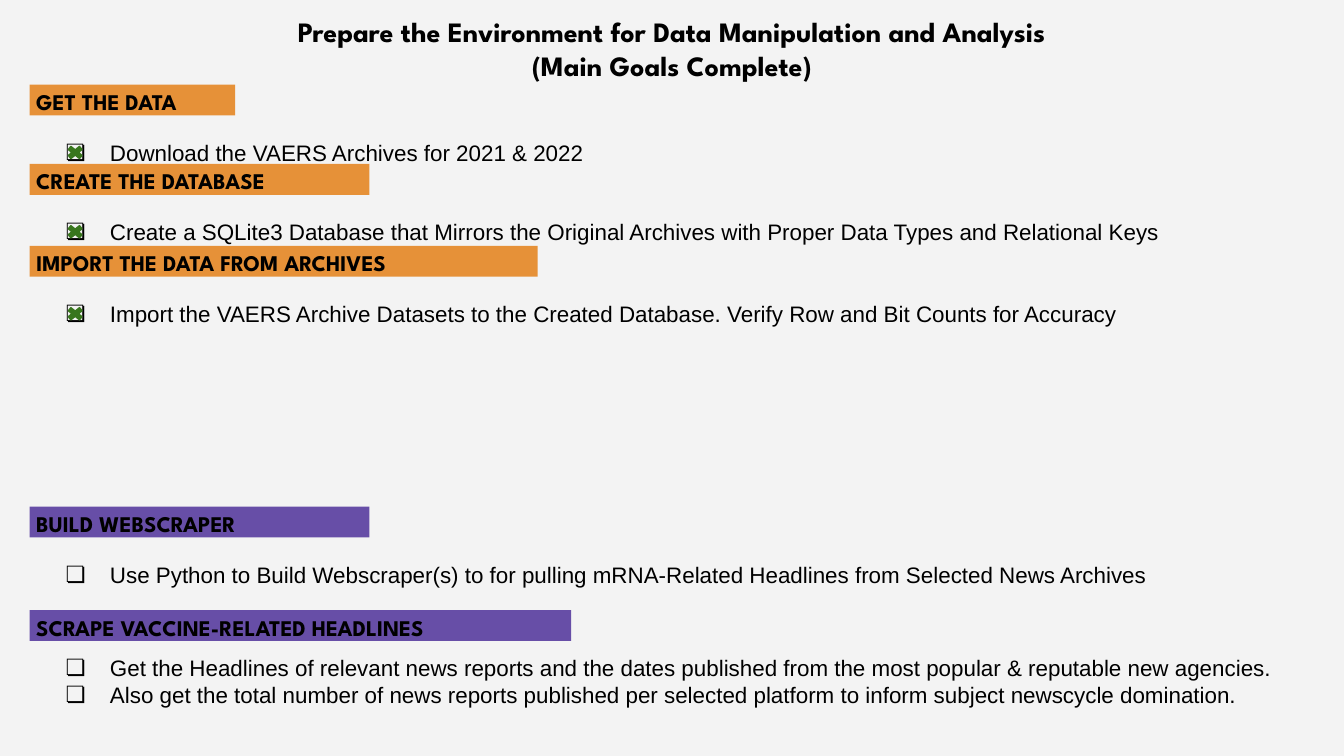
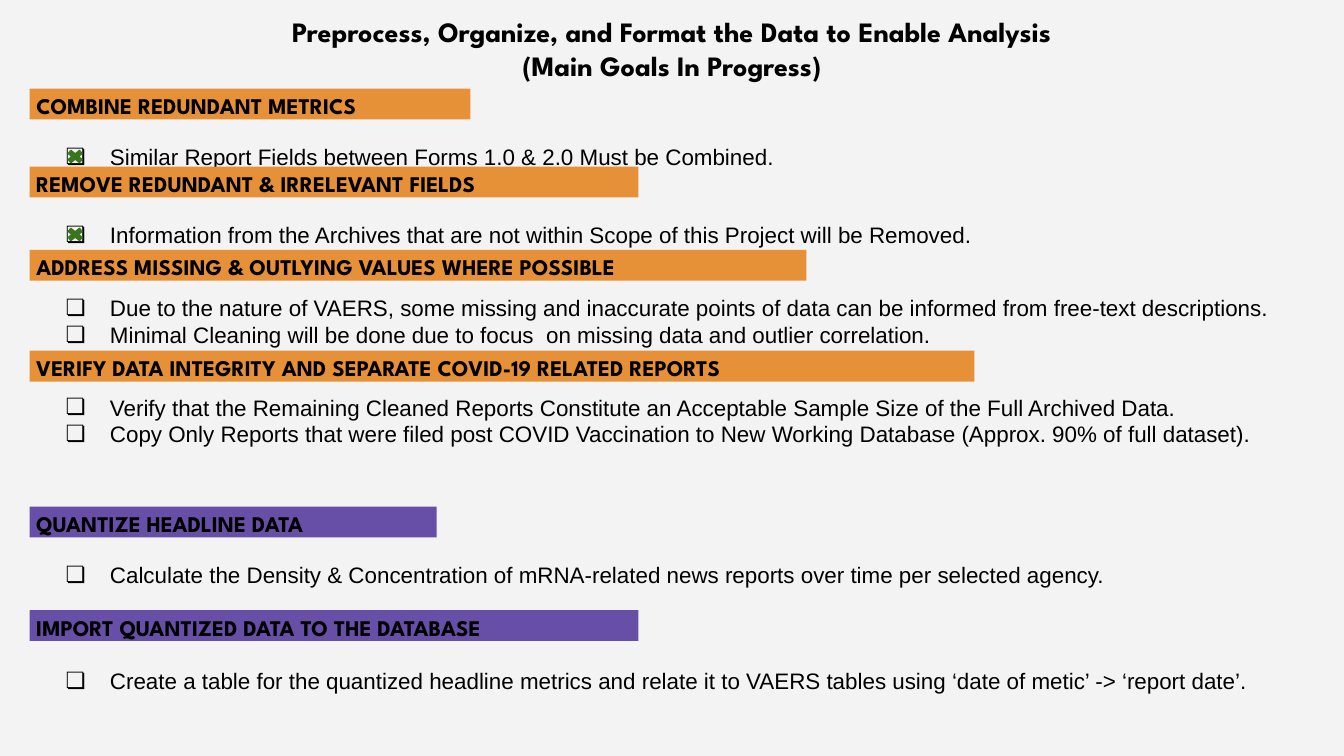
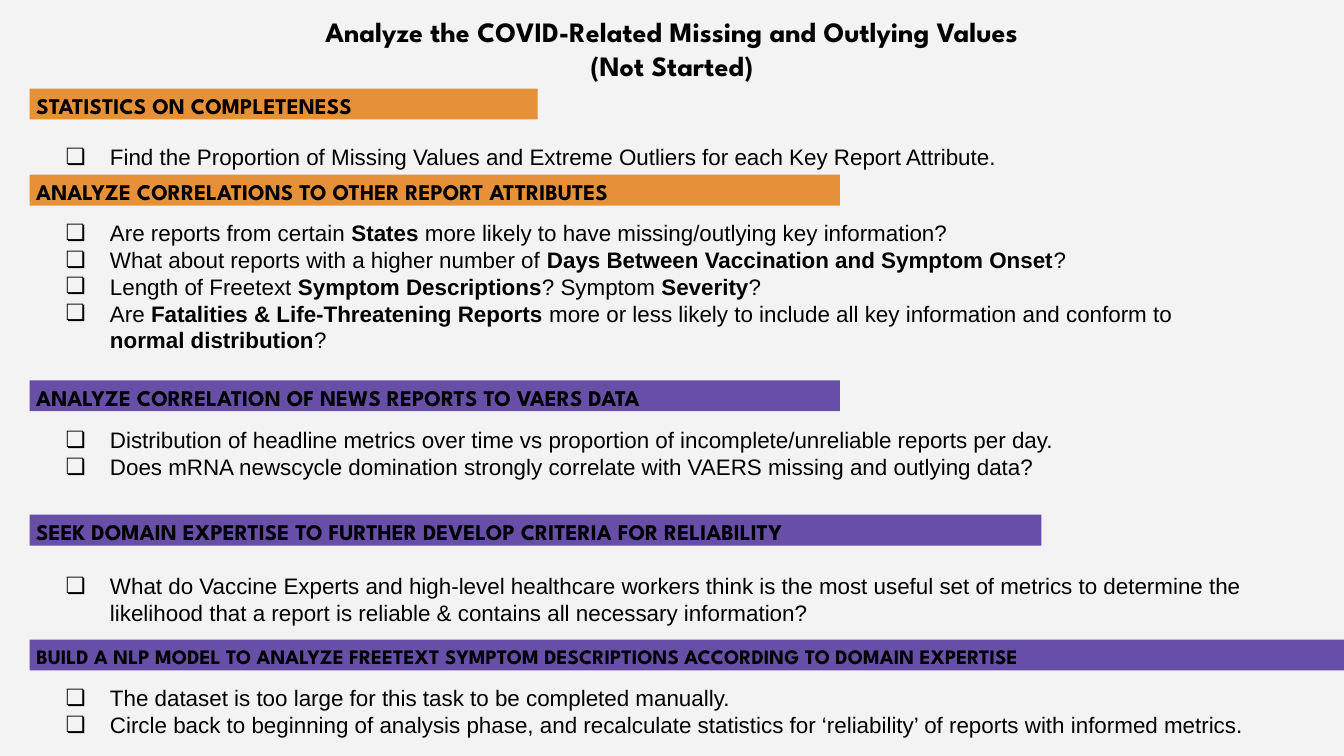
"""Build three project-goal slides with colour-banded checklists."""
from dataclasses import dataclass

from lxml.etree import SubElement
from pptx import Presentation
from pptx.dml.color import RGBColor
from pptx.enum.shapes import MSO_SHAPE
from pptx.enum.text import MSO_ANCHOR, MSO_AUTO_SIZE, PP_ALIGN
from pptx.oxml.ns import qn
from pptx.presentation import Presentation as PresentationType
from pptx.shapes.autoshape import Shape
from pptx.slide import Slide
from pptx.text.text import TextFrame
from pptx.util import Inches, Pt

COLORS = {
    "background": "F3F3F3",
    "text": "000000",
    "data": "E69138",
    "news": "674EA7",
    "check": "38761D",
}
HEADING_FONT = "League Spartan"
BODY_FONT = "Arial"
LEFT = 0.22
BAND_HEIGHT = 0.23
CHECK_OFFSET = 0.44
BOLD_MARK = "**"


@dataclass(frozen=True)
class Goal:
    """One banded heading with its checklist."""

    top: float
    width: float
    heading: str
    items: tuple[str, ...]
    color: str = "data"
    done: bool = False
    height: float = 0.35
    inset: float = 0.35
    gap: float = BAND_HEIGHT
    heading_size: float = 12
    continuation: str = ""


@dataclass(frozen=True)
class GoalSlide:
    """A slide's two title lines and its goals."""

    title: tuple[str, str]
    goals: tuple[Goal, ...]


SLIDES = (
    GoalSlide(
        ("Prepare the Environment for Data Manipulation and Analysis", "(Main Goals Complete)"),
        (
            Goal(0.63, 1.53, "GET THE DATA",
                 ("Download the VAERS Archives for 2021 & 2022",), done=True),
            Goal(1.22, 2.53, "CREATE THE DATABASE",
                 ("Create a SQLite3 Database that Mirrors the Original Archives with "
                  "Proper Data Types and Relational Keys",), done=True),
            Goal(1.83, 3.78, "IMPORT THE DATA FROM ARCHIVES",
                 ("Import the VAERS Archive Datasets to the Created Database. "
                  "Verify Row and Bit Counts for Accuracy",), done=True),
            Goal(3.77, 2.53, "BUILD WEBSCRAPER",
                 ("Use Python to Build Webscraper(s) to for pulling mRNA-Related "
                  "Headlines from Selected News Archives",), "news"),
            Goal(4.54, 4.03, "SCRAPE VACCINE-RELATED HEADLINES",
                 ("Get the Headlines of relevant news reports and the dates published "
                  "from the most popular & reputable new agencies.",
                  "Also get the total number of news reports published per selected "
                  "platform to inform subject newscycle domination."),
                 "news", height=0.63, inset=0.1),
        ),
    ),
    GoalSlide(
        ("Preprocess, Organize, and Format the Data to Enable Analysis",
         "(Main Goals In Progress)"),
        (
            Goal(0.66, 3.28, "COMBINE REDUNDANT METRICS",
                 ("Similar Report Fields between Forms 1.0 & 2.0 Must be Combined.",),
                 done=True),
            Goal(1.24, 4.53, "REMOVE REDUNDANT & IRRELEVANT FIELDS",
                 ("Information from the Archives that are not within Scope of this "
                  "Project will be Removed.",), done=True),
            Goal(1.86, 5.78, "ADDRESS MISSING & OUTLYING VALUES WHERE POSSIBLE",
                 ("Due to the nature of VAERS, some missing and inaccurate points of "
                  "data can be informed from free-text descriptions.",
                  "Minimal Cleaning will be done due to focus  on missing data and "
                  "outlier correlation."), height=0.63, inset=0.1),
            Goal(2.61, 7.03, "VERIFY DATA INTEGRITY AND SEPARATE COVID-19 RELATED REPORTS",
                 ("Verify that the Remaining Cleaned Reports Constitute an Acceptable "
                  "Sample Size of the Full Archived Data.",
                  "Copy Only Reports that were filed post COVID Vaccination to New "
                  "Working Database (Approx. 90% of full dataset)."),
                 height=0.63, inset=0.1, gap=0.22),
            Goal(3.77, 3.03, "QUANTIZE HEADLINE DATA",
                 ("Calculate the Density & Concentration of mRNA-related news reports "
                  "over time per selected agency.",), "news"),
            Goal(4.54, 4.53, "IMPORT QUANTIZED DATA TO THE DATABASE",
                 ("Create a table for the quantized headline metrics and relate it to "
                  "VAERS tables using ‘date of metic’ -> ‘report date’.",),
                 "news", height=0.39, inset=0.39),
        ),
    ),
    GoalSlide(
        ("Analyze the COVID-Related Missing and Outlying Values", "(Not Started)"),
        (
            Goal(0.66, 3.78, "STATISTICS ON COMPLETENESS",
                 ("Find the Proportion of Missing Values and Extreme Outliers for each "
                  "Key Report Attribute.",)),
            Goal(1.3, 6.03, "ANALYZE CORRELATIONS TO OTHER REPORT ATTRIBUTES",
                 ("Are reports from certain **States** more likely to have "
                  "missing/outlying key information?",
                  "What about reports with a higher number of "
                  "**Days Between Vaccination and Symptom Onset**?",
                  "Length of Freetext **Symptom Descriptions**? Symptom **Severity**?",
                  "Are **Fatalities & Life-Threatening Reports** more or less likely to "
                  "include all key information and conform to"),
                 height=1.13, inset=0.1, continuation="**normal distribution**?"),
            Goal(2.83, 6.03, "ANALYZE CORRELATION OF NEWS REPORTS TO VAERS DATA",
                 ("Distribution of headline metrics over time vs proportion of "
                  "incomplete/unreliable reports per day.",
                  "Does mRNA newscycle domination strongly correlate with VAERS missing "
                  "and outlying data?"), "news", height=0.67, inset=0.1, gap=0.24),
            Goal(3.83, 7.53,
                 "SEEK DOMAIN EXPERTISE TO FURTHER DEVELOP CRITERIA FOR RELIABILITY",
                 ("What do Vaccine Experts and high-level healthcare workers think is the "
                  "most useful set of metrics to determine the likelihood that a report "
                  "is reliable & contains all necessary information?",),
                 "news", height=0.6, inset=0.1, gap=0.33),
            Goal(4.76, 9.78,
                 "BUILD A NLP MODEL TO ANALYZE FREETEXT SYMPTOM DESCRIPTIONS ACCORDING "
                 "TO DOMAIN EXPERTISE",
                 ("The dataset is too large for this task to be completed manually.",
                  "Circle back to beginning of analysis phase, and recalculate statistics "
                  "for ‘reliability’ of reports with informed metrics."),
                 "news", height=0.6, inset=0.1, heading_size=11),
        ),
    ),
)


def rgb(name: str) -> RGBColor:
    """Return a palette colour."""
    return RGBColor.from_string(COLORS[name])


def prepare_frame(shape: Shape, horizontal: float, vertical: float) -> TextFrame:
    """Set wrapping, anchor and insets of a shape's text."""
    frame = shape.text_frame
    frame.word_wrap = True
    frame.auto_size = MSO_AUTO_SIZE.NONE
    frame.vertical_anchor = MSO_ANCHOR.TOP
    frame.margin_left = frame.margin_right = Inches(horizontal)
    frame.margin_top = frame.margin_bottom = Inches(vertical)
    return frame


def write_text(frame: TextFrame, text: str, *, size: float = 12, font: str = BODY_FONT,
               bold: bool = False, align: PP_ALIGN = PP_ALIGN.LEFT,
               spacing: float = 1.0, indent: float = 0, bullet: str = "") -> None:
    """Add a paragraph, with marked passages in bold."""
    paragraph = frame.paragraphs[0]
    if paragraph.runs:
        paragraph = frame.add_paragraph()
    paragraph.alignment = align
    paragraph.line_spacing = spacing
    properties = paragraph._p.get_or_add_pPr()
    if indent:
        properties.set("marL", str(Inches(indent)))
        properties.set("indent", str(Inches(-0.33 if bullet else 0)))
    if bullet:
        bullet_color = SubElement(properties, qn("a:buClr"))
        SubElement(bullet_color, qn("a:srgbClr"), val=COLORS["text"])
        SubElement(properties, qn("a:buFont"), typeface=font)
        SubElement(properties, qn("a:buChar"), char=bullet)
    for index, passage in enumerate(text.split(BOLD_MARK)):
        if passage:
            run = paragraph.add_run()
            run.text = passage
            run.font.size = Pt(size)
            run.font.name = font
            run.font.bold = bold or index % 2 == 1
            run.font.color.rgb = rgb("text")


def add_filled_shape(slide: Slide, kind: MSO_SHAPE, left: float, top: float,
                     width: float, height: float, color: str) -> Shape:
    """Add a flat shape without an outline."""
    shape = slide.shapes.add_shape(
        kind, Inches(left), Inches(top), Inches(width), Inches(height))
    shape.shadow.inherit = False
    shape.fill.solid()
    shape.fill.fore_color.rgb = rgb(color)
    shape.line.fill.background()
    return shape


def add_text_box(slide: Slide, left: float, top: float, width: float, height: float,
                 horizontal: float, vertical: float) -> TextFrame:
    """Add a wrapping text box and return its frame."""
    box = slide.shapes.add_textbox(
        Inches(left), Inches(top), Inches(width), Inches(height))
    return prepare_frame(box, horizontal, vertical)


def add_check(slide: Slide, top: float) -> None:
    """Mark a checklist box as done."""
    check = add_filled_shape(slide, MSO_SHAPE.MATH_MULTIPLY, 0.48, top, 0.16, 0.13, "check")
    check.adjustments[0] = 0.235
    check.line.color.rgb = rgb("check")
    check.line.width = Pt(0.75)


def add_goal(slide: Slide, goal: Goal) -> None:
    """Draw a goal's band, checklist and check mark."""
    band = add_filled_shape(
        slide, MSO_SHAPE.RECTANGLE, LEFT, goal.top, goal.width, BAND_HEIGHT, goal.color)
    write_text(prepare_frame(band, 0.05, 0.05), goal.heading, size=goal.heading_size,
               font=HEADING_FONT, bold=True, spacing=0.9)
    frame = add_text_box(
        slide, LEFT, goal.top + goal.gap, 9.57, goal.height, 0.1, goal.inset)
    for item in goal.items:
        write_text(frame, item, indent=0.5, bullet="❏")
    if goal.continuation:
        write_text(frame, goal.continuation, indent=0.5)
    if goal.done:
        add_check(slide, goal.top + CHECK_OFFSET)


def add_goal_slide(presentation: PresentationType, content: GoalSlide) -> None:
    """Add a slide with its title and goals."""
    slide = presentation.slides.add_slide(presentation.slide_layouts[6])
    slide.background.fill.solid()
    slide.background.fill.fore_color.rgb = rgb("background")
    title = add_text_box(slide, 0, 0.01, 10, 0.63, 0, 0.1)
    for line in content.title:
        write_text(title, line, size=15, font=HEADING_FONT, bold=True, align=PP_ALIGN.CENTER)
    for goal in content.goals:
        add_goal(slide, goal)


def main() -> None:
    """Build and save the presentation."""
    presentation = Presentation()
    presentation.slide_width = Inches(10)
    presentation.slide_height = Inches(10) * 9 // 16
    for content in SLIDES:
        add_goal_slide(presentation, content)
    presentation.save("out.pptx")


if __name__ == "__main__":
    main()
